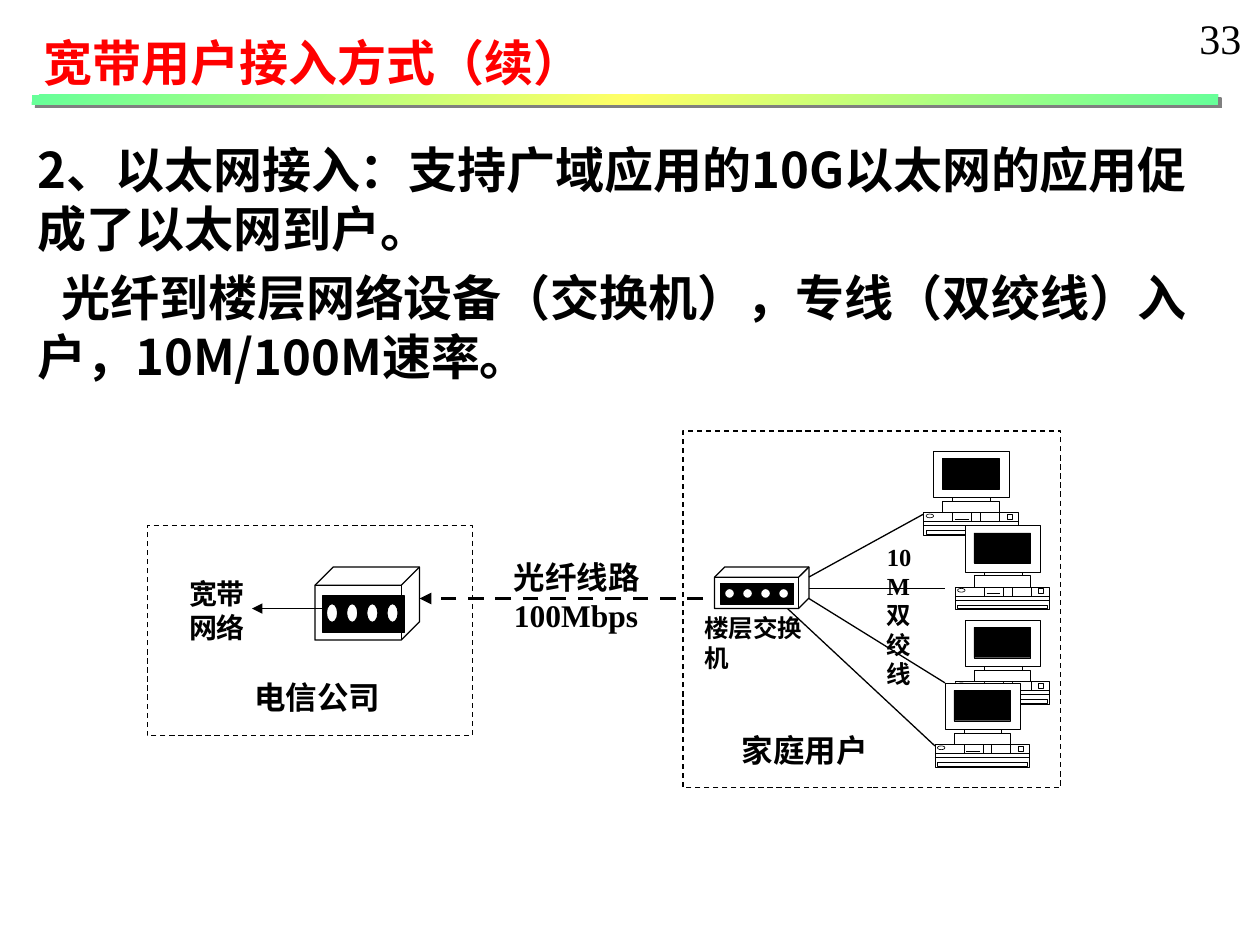
from copy import deepcopy
from dataclasses import dataclass

from lxml.etree import SubElement
from pptx import Presentation
from pptx.dml.color import RGBColor
from pptx.enum.dml import MSO_LINE
from pptx.enum.shapes import MSO_CONNECTOR, MSO_SHAPE
from pptx.enum.text import MSO_AUTO_SIZE
from pptx.oxml.ns import qn
from pptx.util import Inches, Pt


@dataclass(frozen=True)
class Theme:
    """Colours, fonts, type sizes and line widths of the slide."""
    black: str = "000000"
    white: str = "FFFFFF"
    red: str = "FF0000"
    green: str = "66FF99"
    yellow: str = "FFFF66"
    grey: str = "808080"
    heading_font: str = "Noto Sans CJK SC"
    label_font: str = "Times New Roman"
    network_font: str = "Arial"
    heading: int = 28
    number: int = 24
    label: int = 18
    network: int = 16
    small: int = 14
    normal: float = 0.75
    thick: float = 2.25
    thin: float = 0.38
    hairline: float = 0.13


THEME = Theme()


def add_text(slide, box, *lines, size=THEME.label, font=THEME.label_font, color=THEME.black,
             bold=True, wrap=False, inset=None, space=0, indents=()):
    """Add a text box with one paragraph per line."""
    text_box = slide.shapes.add_textbox(*map(Inches, box))
    frame = text_box.text_frame
    frame.word_wrap = wrap
    frame.auto_size = MSO_AUTO_SIZE.SHAPE_TO_FIT_TEXT
    if inset is not None:
        frame.margin_left = frame.margin_right = Inches(inset)
        frame.margin_top = frame.margin_bottom = Inches(inset)
    for index, line in enumerate(lines):
        paragraph = frame.add_paragraph() if index else frame.paragraphs[0]
        if index and space:
            paragraph.space_before = Pt(space)
        if index < len(indents) and indents[index]:
            paragraph._p.get_or_add_pPr().set("indent", str(Inches(indents[index])))
        run = paragraph.add_run()
        run.text = line
        run.font.size, run.font.bold, run.font.name = Pt(size), bold, font
        run.font.color.rgb = RGBColor.from_string(color)
        if font == THEME.heading_font:
            SubElement(run._r.get_or_add_rPr(), qn("a:ea"), typeface=font)


def style_shape(shape, fill=None, width=THEME.normal, dash=False):
    """Give a shape its fill and black outline."""
    shape.shadow.inherit = False
    if fill:
        shape.fill.solid()
        shape.fill.fore_color.rgb = RGBColor.from_string(fill)
    else:
        shape.fill.background()
    shape.line.color.rgb = RGBColor.from_string(THEME.black)
    shape.line.width = Pt(width)
    if dash:
        shape.line.dash_style = MSO_LINE.DASH


def add_shape(slide, kind, box, **look):
    """Add a styled preset shape."""
    shape = slide.shapes.add_shape(kind, *map(Inches, box))
    style_shape(shape, **look)


def add_line(slide, start, end, width=THEME.normal, dash=False, arrow=False):
    """Add a straight line, optionally dashed or with an arrowhead at its end."""
    line = slide.shapes.add_connector(MSO_CONNECTOR.STRAIGHT, *map(Inches, (*start, *end)))
    line.line.color.rgb = RGBColor.from_string(THEME.black)
    line.line.width = Pt(width)
    if dash:
        line.line.dash_style = MSO_LINE.DASH
    if arrow:
        SubElement(line.line._get_or_add_ln(), qn("a:tailEnd"), type="triangle")
    SubElement(line._element.spPr, qn("a:effectLst"))


def add_computer(slide, left, top):
    """Draw a desktop computer with its top left corner at the given point."""
    def place(x, y, *size):
        return (left + x, top + y, *size)

    neck, monitor = (0.23, 0.37, 0.3, 0.03), (0.08, 0, 0.6, 0.37)
    stand, case = (0.15, 0.4, 0.45, 0.09), (0, 0.49, 0.75, 0.18)
    outline = None
    for x, y, width, height in (neck, monitor, stand, case):
        x, y = place(x, y)
        corners = [(Inches(a), Inches(b)) for a, b in
                   ((x, y), (x + width, y), (x + width, y + height), (x, y + height))]
        if outline is None:
            outline = slide.shapes.build_freeform(*corners[0])
        else:
            outline.move_to(*corners[0])
        outline.add_line_segments(corners[1:], close=True)
    style_shape(outline.convert_to_shape(), fill=THEME.white, width=THEME.thin)

    add_line(slide, place(0.25, 0.54), place(0.36, 0.54), THEME.thin)
    add_shape(slide, MSO_SHAPE.OVAL, place(0.02, 0.5, 0.06, 0.03),
              fill=THEME.white, width=THEME.thin)
    screen, drive, button = (0.15, 0.06, 0.45, 0.24), (0.02, 0.63, 0.71, 0.03), (0.66, 0.5, 0.04, 0.04)
    for part, fill in ((screen, THEME.black), (drive, THEME.white), (button, THEME.white)):
        add_shape(slide, MSO_SHAPE.RECTANGLE, place(*part), fill=fill, width=THEME.hairline)
    for y in (0.56, 0.59):
        add_line(slide, place(0, y), place(0.75, y), THEME.hairline)
    for x in (0.23, 0.38, 0.45, 0.6):
        add_line(slide, place(x, 0.49), place(x, 0.56), THEME.hairline)


def add_switch(slide, box, panel, light, step):
    """Draw a switch; panel and first light are offset from the box corner."""
    left, top = box[:2]
    add_shape(slide, MSO_SHAPE.CUBE, box)
    add_shape(slide, MSO_SHAPE.RECTANGLE, (left + panel[0], top + panel[1], *panel[2:]),
              fill=THEME.black)
    for index in range(4):
        add_shape(slide, MSO_SHAPE.OVAL,
                  (left + light[0] + index * step, top + light[1], *light[2:]), fill=THEME.white)


def add_header(slide, box):
    """Place the gradient rule, title and page number in the header."""
    left, top, width, height = box
    rule = slide.shapes.add_shape(MSO_SHAPE.RECTANGLE, *map(
        Inches, (left, top + height - 0.08, width, 0.08)))
    rule.line.fill.background()
    rule.fill.gradient()
    rule.fill.gradient_angle = 315
    stops = rule.fill._fill._gradFill.gsLst
    stops.insert(1, deepcopy(stops[0]))
    colors = (THEME.green, THEME.yellow, THEME.green)
    for stop, color, position in zip(rule.fill.gradient_stops, colors, (0, 0.5, 1)):
        stop.color.rgb = RGBColor.from_string(color)
        stop.position = position
    rule.shadow.inherit = False
    shadow = SubElement(rule._element.spPr.find(qn("a:effectLst")), qn("a:outerShdw"),
                        dist=str(Pt(2.8)), dir="2700000", algn="ctr", rotWithShape="0")
    SubElement(shadow, qn("a:srgbClr"), val=THEME.grey)
    add_text(slide, (left, top, 4.67, 0.57), "宽带用户接入方式（续）", size=THEME.heading,
             font=THEME.heading_font, color=THEME.red, wrap=True)
    add_text(slide, (left + 9.17, top - 0.16, 0.54, 0.5), "33", size=THEME.number, bold=False)


def add_body(slide, box):
    """Place the explanation of Ethernet access."""
    add_text(slide, box, "2、以太网接入：支持广域应用的10G以太网的应用促成了以太网到户。",
             "光纤到楼层网络设备（交换机），专线（双绞线）入户，10M/100M速率。",
             size=THEME.heading, font=THEME.heading_font, wrap=True, space=5.6, indents=(0, 0.19))


def add_carrier(slide, box):
    """Draw the carrier site with its switch and link to the network."""
    left, top = box[:2]
    add_text(slide, (left + 0.33, top + 0.41, 0.45, 0.53), "宽带", "网络",
             size=THEME.network, font=THEME.network_font, inset=0)
    add_line(slide, (left + 1.41, top + 0.66), (left + 0.83, top + 0.66), arrow=True)
    add_text(slide, (left + 0.75, top + 1.16, 1.21, 0.4), "电信公司")
    add_shape(slide, MSO_SHAPE.RECTANGLE, box, dash=True)
    add_switch(slide, (left + 1.33, top + 0.33, 0.83, 0.58), panel=(0.06, 0.23, 0.65, 0.29),
               light=(0.09, 0.29, 0.09, 0.15), step=0.16)


def add_home(slide, box):
    """Draw the home site: floor switch, computers and twisted pairs."""
    left, top = box[:2]
    add_shape(slide, MSO_SHAPE.RECTANGLE, box, dash=True)
    add_switch(slide, (left + 0.25, top + 1.08, 0.75, 0.33), panel=(0.05, 0.13, 0.58, 0.17),
               light=(0.08, 0.17, 0.08, 0.08), step=0.143)
    add_text(slide, (left + 0.07, top + 1.4, 1.17, 0.33), "楼层交换机", size=THEME.small)
    add_text(slide, (left + 0.37, top + 2.33, 1.21, 0.4), "家庭用户")
    for x, y in ((1.91, 0.16), (2.16, 0.75), (2.16, 1.5), (2, 2)):
        add_computer(slide, left + x, top + y)
    for x1, y1, x2, y2 in ((1, 1.16, 1.91, 0.66), (1, 1.25, 2.08, 1.25),
                           (1, 1.33, 2.08, 2), (0.83, 1.41, 2, 2.5)):
        add_line(slide, (left + x1, top + y1), (left + x2, top + y2))
    add_text(slide, (left + 1.52, top + 0.83, 0.4, 1.26), *"10 M 双 绞 线".split(),
             size=THEME.small)


def add_fiber(slide, box):
    """Draw the dashed fibre line along the top of its box and label it."""
    left, top, width, _ = box
    add_line(slide, (left + width, top), (left, top), THEME.thick, dash=True, arrow=True)
    add_text(slide, (left + 0.65, top - 0.37, 1.21, 0.7), "光纤线路", "100Mbps")


def main():
    """Build and save the slide."""
    presentation = Presentation()
    presentation.slide_width, presentation.slide_height = Inches(10), Inches(7.5)
    slide = presentation.slides.add_slide(presentation.slide_layouts[6])
    add_body(slide, (0.2, 1.06, 9.63, 2.06))
    add_carrier(slide, (1.17, 4.17, 2.58, 1.67))
    add_home(slide, (5.42, 3.42, 3, 2.83))
    add_fiber(slide, (3.33, 4.75, 2.25, 0.4))
    add_header(slide, (0.25, 0.21, 9.42, 0.62))
    presentation.save("out.pptx")


if __name__ == "__main__":
    main()
